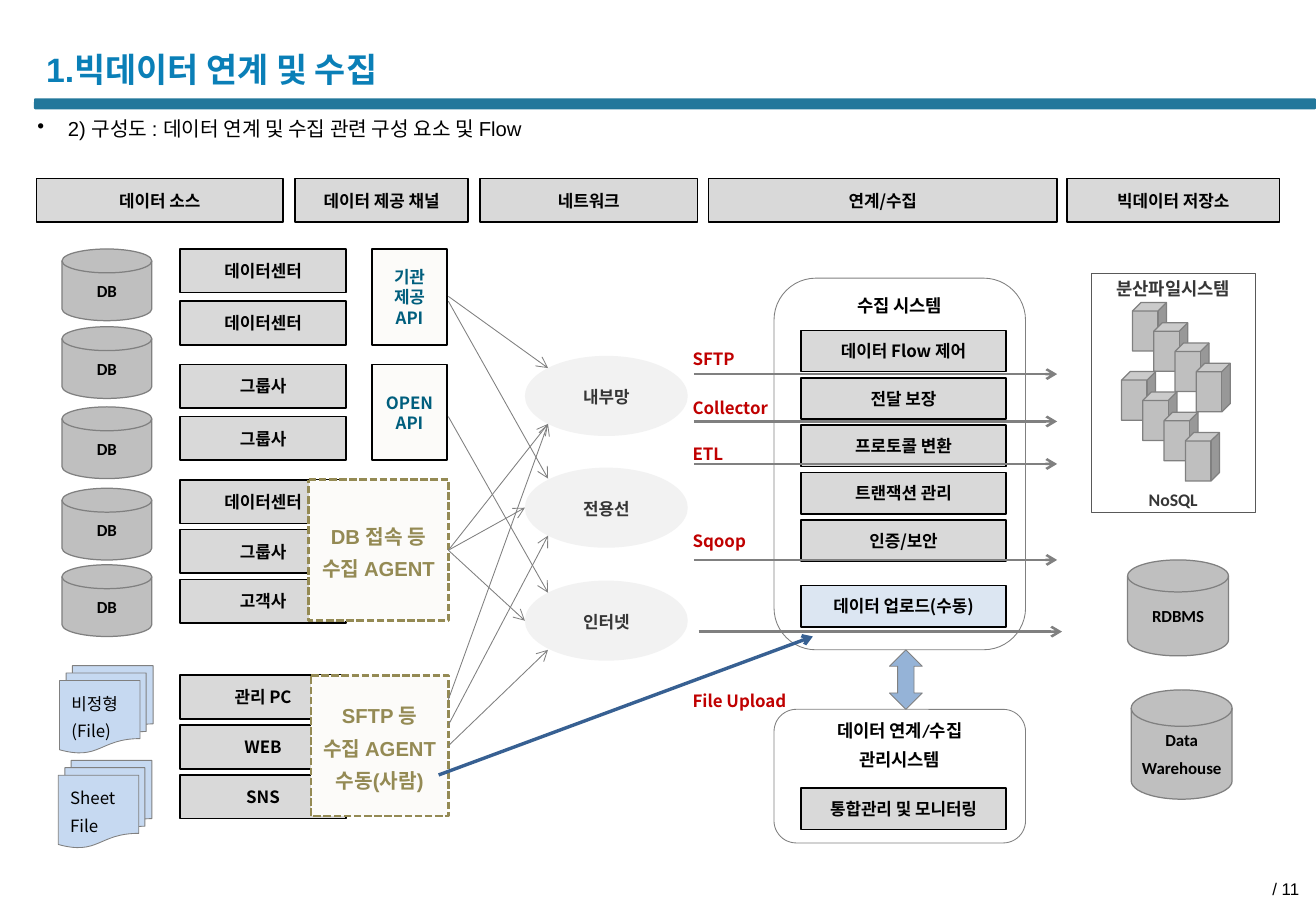
from pptx import Presentation
from pptx.dml.color import RGBColor
from pptx.enum.dml import MSO_LINE_DASH_STYLE as Dash
from pptx.enum.shapes import MSO_CONNECTOR, MSO_SHAPE as Preset
from pptx.enum.text import MSO_ANCHOR as Anchor, MSO_AUTO_SIZE, PP_ALIGN as Align
from pptx.oxml import parse_xml
from pptx.oxml.ns import nsdecls
from pptx.util import Inches, Pt

WIDTH, HEIGHT = 10.83, 7.5
CJK = "Noto Sans CJK KR"
GREY, BLACK, PALE, LINE, OLIVE = "D9D9D9", "000000", "FCFBF9", "808080", "948A54"

TITLE = "1.빅데이터 연계 및 수집"
SUBTITLE = "2) 구성도 : 데이터 연계 및 수집 관련 구성 요소 및 Flow"
PAGE = "/ 11"

# Text, left, width
HEADINGS = [("데이터 소스", 0.3, 2.03), ("데이터 제공 채널", 2.43, 1.42), ("네트워크", 3.95, 1.79),
            ("연계/수집", 5.83, 2.87), ("빅데이터 저장소", 8.78, 1.75)]
# First top, row step, names
SOURCE_GROUPS = [(2.05, 0.43, ["데이터센터", "데이터센터"]), (3.0, 0.43, ["그룹사", "그룹사"]),
                 (3.95, 0.41, ["데이터센터", "그룹사", "고객사"]), (5.56, 0.41, ["관리 PC", "WEB", "SNS"])]
DATABASE_TOPS = [2.05, 2.69, 3.35, 4.02, 4.65]
FILES = [(["비정형", "(File)"], 0.49, 5.48), (["Sheet", "File"], 0.48, 6.26)]
APIS = [(["기관", "제공", "API"], 2.05), (["OPEN", "API"], 3.0)]
AGENTS = [(["DB 접속 등", "수집 AGENT"], 2.54, 3.95),
          (["SFTP 등", "수집 AGENT", "수동(사람)"], 2.56, 5.56)]
NETWORKS = [("내부망", 2.93), ("전용선", 3.85), ("인터넷", 4.78)]
COLLECT_STEPS = ["데이터 Flow 제어", "전달 보장", "프로토콜 변환", "트랜잭션 관리", "인증/보안"]
STORES = [(["RDBMS"], 9.28, 4.61, 0.79), (["Data", "Warehouse"], 9.31, 5.68, 0.9)]
NODE_STARTS = [(9.32, 2.49), (9.23, 3.06)]
# Text, middle
PROTOCOLS = [("SFTP", 2.95), ("Collector", 3.36), ("ETL", 3.74), ("Sqoop", 4.45), ("File Upload", 5.77)]
# Left, top
FLOWS = [(5.71, 3.08), (5.71, 3.47), (5.71, 3.82), (5.71, 4.61), (5.75, 5.2)]
CHANNEL_RIGHT, NETWORK_EDGE, NETWORK_LEFT = 3.69, 4.51, 4.32
# Start height, end column, end height
LINKS = [(2.44, NETWORK_EDGE, 3.03), (2.48, NETWORK_EDGE, 3.94), (3.43, NETWORK_EDGE, 4.88),
         (4.53, NETWORK_EDGE, 3.49), (4.53, NETWORK_LEFT, 4.18), (4.53, NETWORK_LEFT, 5.11),
         (5.76, NETWORK_EDGE, 3.49), (5.97, NETWORK_EDGE, 4.41), (6.14, NETWORK_EDGE, 5.35)]

# Text styles
LABEL = dict(wrap=False)
API = dict(color="005E7D", wrap=False)
DISK = dict(font="Calibri", gap=5, insets=(0, 0.05, 0, 0.05))
FILE = dict(bold=False, align=Align.LEFT, spacing=1.2, gap=2)
AGENT = dict(font="Arial", size=12, color=OLIVE, spacing=1.2, gap=2)
NETWORK = dict(font="Calibri", color="363636", spacing=1.1, insets=(0, 0.05, 0, 0.05))
SYSTEM = dict(font="Calibri", size=10.5, spacing=1.2, gap=2, anchor=Anchor.TOP,
              insets=(0.1, 0, 0.1, 0.05))
STORAGE = dict(font="Calibri", size=10.5, color="363636", wrap=False, insets=(0.05,) * 4)
PROTOCOL = dict(color="C00000", align=Align.LEFT, wrap=False, insets=(0.05,) * 4)


def rgb(value):
    return RGBColor.from_string(value)


def write(shape, lines, font=CJK, size=10, color=BLACK, bold=True, align=Align.CENTER,
          anchor=Anchor.MIDDLE, spacing=None, gap=0, wrap=True,
          insets=(0.1, 0.05, 0.1, 0.05), bullet=None):
    frame = shape.text_frame
    frame.auto_size = MSO_AUTO_SIZE.NONE
    frame.word_wrap = wrap
    frame.vertical_anchor = anchor
    (frame.margin_left, frame.margin_top,
     frame.margin_right, frame.margin_bottom) = map(Inches, insets)
    for index, line in enumerate(lines):
        paragraph = frame.add_paragraph() if index else frame.paragraphs[0]
        paragraph.alignment = align
        if spacing:
            paragraph.line_spacing = spacing
        if index and gap:
            paragraph.space_before = Pt(gap)
        if bullet:
            properties = paragraph._p.get_or_add_pPr()
            properties.set("marL", str(Inches(0.25)))
            properties.set("indent", str(-Inches(0.25)))
            properties.append(parse_xml(f'<a:buChar {nsdecls("a")} char="{bullet}"/>'))
        run = paragraph.add_run()
        run.text = line
        run.font.name, run.font.size, run.font.bold = font, Pt(size), bold
        run.font.color.rgb = rgb(color)
        run._r.get_or_add_rPr().append(parse_xml(f'<a:ea {nsdecls("a")} typeface="{CJK}"/>'))


def add(preset, left, top, width, height, fill=None, line=None, weight=0.75, lines=(), style=LABEL):
    shape = slide.shapes.add_shape(preset, *map(Inches, (left, top, width, height)))
    shape.shadow.inherit = False
    if fill:
        shape.fill.solid()
        shape.fill.fore_color.rgb = rgb(fill)
    else:
        shape.fill.background()
    if line:
        shape.line.color.rgb = rgb(line)
        shape.line.width = Pt(weight)
    else:
        shape.line.fill.background()
    if lines:
        write(shape, lines, **style)
    return shape


def add_label_box(text, left, top, width, height=0.36, fill=GREY):
    add(Preset.RECTANGLE, left, top, width, height, fill, BLACK, 1, [text])


def add_disk(lines, left, top, width, height):
    add(Preset.FLOWCHART_MAGNETIC_DISK, left, top, width, height, "BFBFBF", LINE, 0.75, lines, DISK)


def add_text(text, left, top, width, height, **style):
    box = slide.shapes.add_textbox(*map(Inches, (left, top, width, height)))
    write(box, [text], **style)


def add_arrow(start, end, weight=0.5, color=LINE):
    arrow = slide.shapes.add_connector(MSO_CONNECTOR.STRAIGHT, *map(Inches, (*start, *end)))
    arrow.line.color.rgb = rgb(color)
    arrow.line.width = Pt(weight)
    arrow.line._get_or_add_ln().append(parse_xml(f'<a:tailEnd {nsdecls("a")} type="arrow"/>'))
    arrow._element.spPr.append(parse_xml(f'<a:effectLst {nsdecls("a")}/>'))


presentation = Presentation()
presentation.slide_width, presentation.slide_height = Inches(WIDTH), Inches(HEIGHT)
slide = presentation.slides.add_slide(presentation.slide_layouts[5])

# Title, bar, subtitle and page number
bar = add(Preset.ROUNDED_RECTANGLE, 0.28, 0.81, WIDTH - 0.28, 0.09, "22779B")
bar.adjustments[0] = 0.13
title = slide.shapes.title
title.left, title.top, title.width, title.height = map(Inches, (0.28, 0.33, 6.42, 0.47))
write(title, [TITLE], font="Arial", size=20, color="0A7FB7", align=Align.LEFT)
add_text(SUBTITLE, 0.21, 0.91, 10.43, 0.35, font="Arial", size=12, bold=False,
         align=Align.LEFT, anchor=Anchor.TOP, bullet="•")
add_text(PAGE, 8.31, 7.19, 2.48, 0.26, font="Arial", bold=False, align=Align.RIGHT,
         insets=(0.1, 0, 0.1, 0))
for text, left, width in HEADINGS:
    add_label_box(text, left, 1.47, width)

# Sources and channels
for top in DATABASE_TOPS:
    add_disk(["DB"], 0.51, top, 0.74, 0.59)
for lines, left, top in FILES:
    add(Preset.FLOWCHART_MULTIDOCUMENT, left, top, 0.77, 0.72, "C6D9F1", LINE, 0.5, lines, FILE)
for first_top, step, names in SOURCE_GROUPS:
    for row, name in enumerate(names):
        add_label_box(name, 1.48, first_top + row * step, 1.37)
for lines, top in APIS:
    add(Preset.RECTANGLE, 3.06, top, 0.62, 0.79, PALE, BLACK, 1, lines, API)
for lines, left, top in AGENTS:
    agent = add(Preset.FLOWCHART_PROCESS, left, top, CHANNEL_RIGHT - left, 1.16,
                PALE, OLIVE, 1.5, lines, AGENT)
    agent.line.dash_style = Dash.SQUARE_DOT

# Networks
for name, top in NETWORKS:
    add(Preset.OVAL, NETWORK_LEFT, top, 1.34, 0.66, "F2F2F2", lines=[name], style=NETWORK)
for start_height, end_column, end_height in LINKS:
    add_arrow((CHANNEL_RIGHT, start_height), (end_column, end_height))

# Collection and management systems
for lines, top, height in [(["수집 시스템"], 2.29, 3.06), (["데이터 연계/수집", "관리시스템"], 5.84, 1.1)]:
    add(Preset.ROUNDED_RECTANGLE, 6.37, top, 2.07, height, "FFFFFF", LINE, 0.5, lines, SYSTEM)
for row, step in enumerate(COLLECT_STEPS):
    add_label_box(step, 6.59, 2.72 + row * 0.39, 1.69, 0.34)
add_label_box("데이터 업로드(수동)", 6.59, 4.82, 1.69, 0.34, "DCE6F2")
add_label_box("통합관리 및 모니터링", 6.59, 6.49, 1.69, 0.34)
add(Preset.UP_DOWN_ARROW, 7.32, 5.35, 0.27, 0.49, "95B3D7", LINE, 0.5)
add_arrow((3.61, 6.38), (6.69, 5.24), 2, "376092")
for left, top in FLOWS:
    add_arrow((left, top), (left + 2.99, top), 1.5)
for text, middle in PROTOCOLS:
    add_text(text, 5.65, middle - 0.13, 1.05, 0.26, **PROTOCOL)

# Storage
add(Preset.RECTANGLE, 8.98, 2.25, 1.35, 1.97, line="595959")
for text, top in [("분산파일시스템", 2.25), ("NoSQL", 3.99)]:
    add_text(text, 8.98, top, 1.35, 0.25, **STORAGE)
for left, top in NODE_STARTS:
    for node in range(4):
        add(Preset.CUBE, left + node * 0.175, top + node * 0.167, 0.28, 0.4, "BFBFBF", LINE)
for lines, left, top, height in STORES:
    add_disk(lines, left, top, 0.83, height)

presentation.save("out.pptx")
